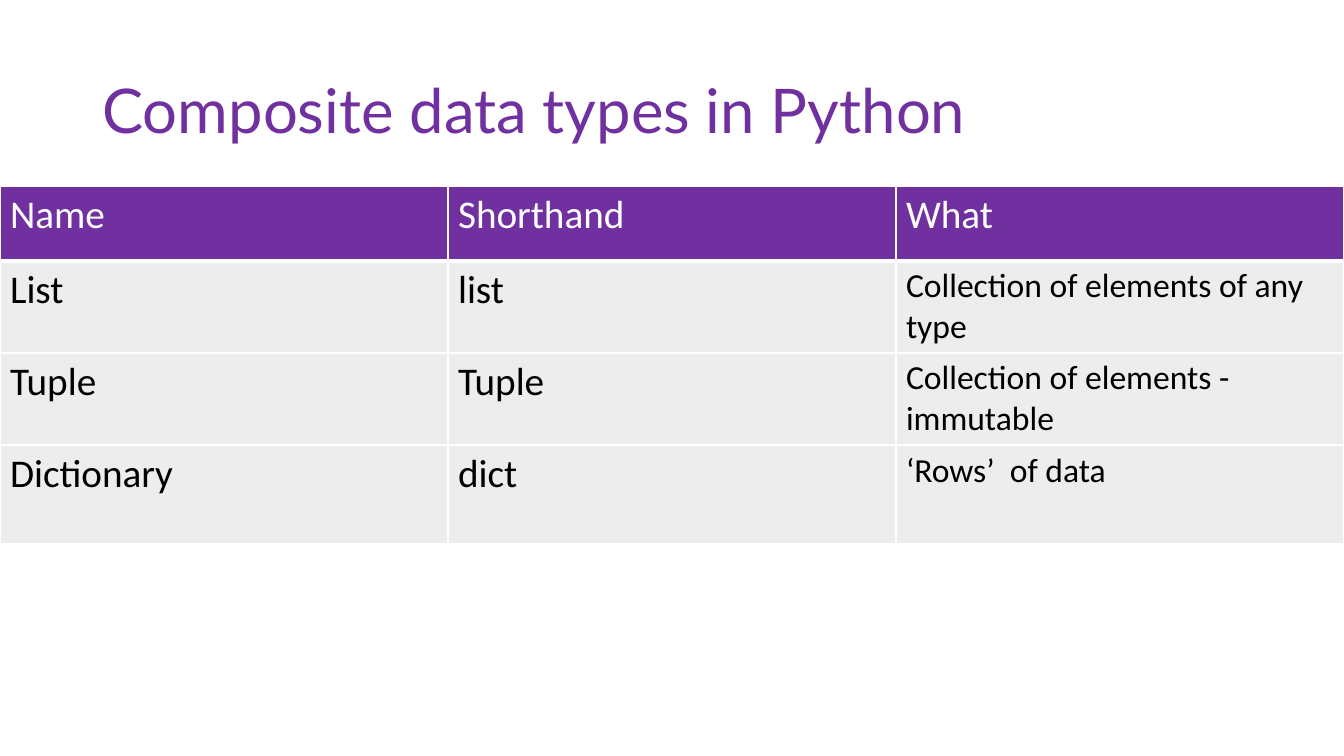
from lxml.etree import SubElement
from pptx import Presentation
from pptx.dml.color import RGBColor
from pptx.enum.text import MSO_ANCHOR, PP_ALIGN
from pptx.oxml.ns import qn
from pptx.util import Pt

COLORS = {"purple": "7030A0", "gray": "EDEDED", "white": "FFFFFF", "black": "000000"}


def format_text(paragraph, color, **formats):
    for name, value in formats.items():
        setattr(paragraph.font, name, value)
    paragraph.font.color.rgb = RGBColor.from_string(COLORS[color])


def add_border(cell, side, width):
    line = SubElement(cell._tc.get_or_add_tcPr(), qn(f"a:ln{side}"), w=str(Pt(width)))
    fill = SubElement(line, qn("a:solidFill"))
    SubElement(fill, qn("a:srgbClr"), val=COLORS["white"])


presentation = Presentation()
presentation.slide_width, presentation.slide_height = Pt(960), Pt(540)
slide = presentation.slides.add_slide(presentation.slide_layouts[5])

# Title
title = slide.shapes.title
title_box = {"left": 66, "top": 28.75, "width": 828, "height": 104.4}
for name, value in title_box.items():
    setattr(title, name, Pt(value))
title.text_frame.text = "Composite data types in Python"
title.text_frame.vertical_anchor = MSO_ANCHOR.MIDDLE
heading = title.text_frame.paragraphs[0]
heading.alignment = PP_ALIGN.LEFT
heading.line_spacing = 0.9
format_text(heading, "purple", name="Lato", size=Pt(44))

# Table of data types
rows = [
    ["Name", "Shorthand", "What"],
    ["List", "list", "Collection of elements of any type"],
    ["Tuple", "Tuple", "Collection of elements - immutable"],
    ["Dictionary", "dict", "‘Rows’  of data"],
]
row_heights = [53.2, 53.2, 53.2, 70.4]
table = slide.shapes.add_table(
    len(rows), len(rows[0]), Pt(0), Pt(133.15), Pt(960), Pt(sum(row_heights))
).table
table.horz_banding = False

for row_index, texts in enumerate(rows):
    table.rows[row_index].height = Pt(row_heights[row_index])
    is_header = row_index == 0
    for column_index, text in enumerate(texts):
        cell = table.cell(row_index, column_index)
        cell.text = text
        is_description = column_index == 2 and not is_header
        format_text(
            cell.text_frame.paragraphs[0],
            "white" if is_header else "black",
            name="Calibri",
            size=Pt(24 if is_description else 28),
            bold=False,
        )
        # Borders come before the fill in the cell properties
        for side in "LRTB":
            thick = (is_header and side == "B") or (row_index == 1 and side == "T")
            add_border(cell, side, 3 if thick else 1)
        cell.fill.solid()
        cell.fill.fore_color.rgb = RGBColor.from_string(
            COLORS["purple" if is_header else "gray"]
        )

presentation.save("out.pptx")
